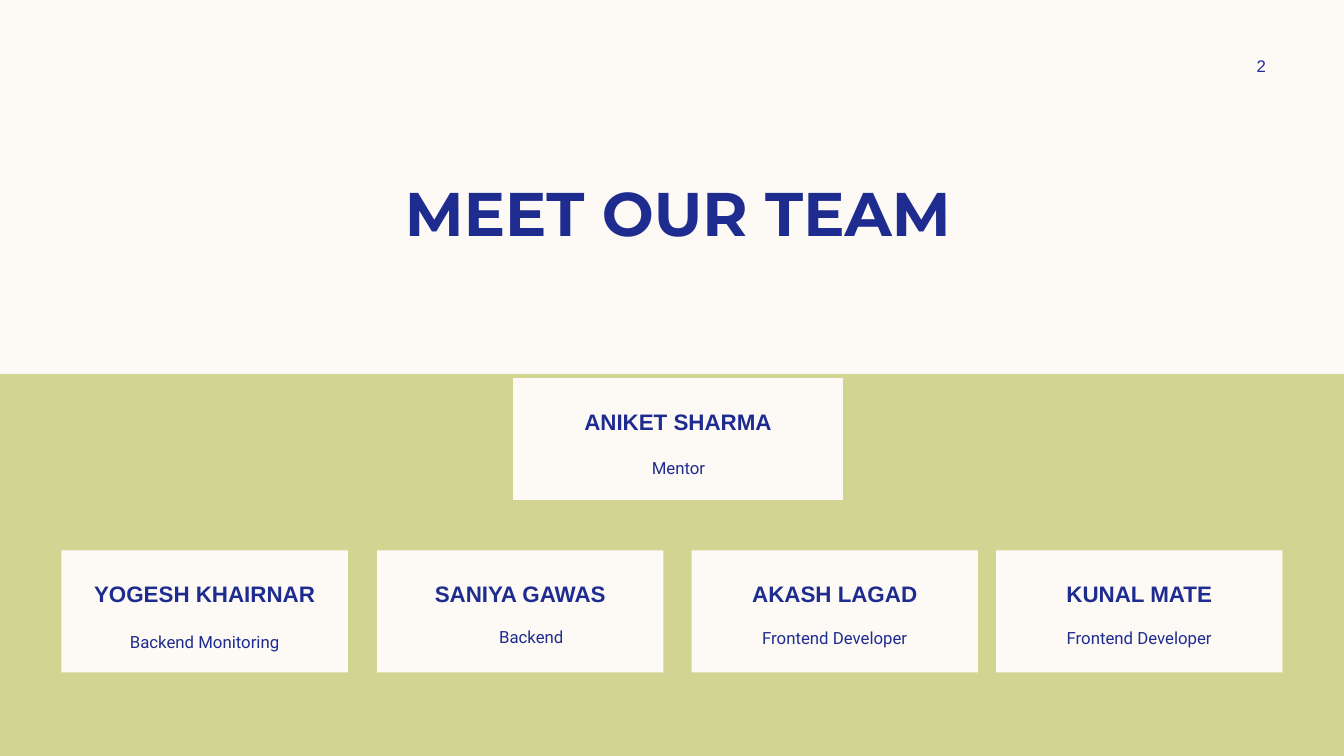
"""Build the team slide with a mentor card above four member cards."""
import pptx
import pptx.dml.color
import pptx.enum.shapes
import pptx.enum.text
import pptx.util

Inches = pptx.util.Inches
Pt = pptx.util.Pt
Anchor = pptx.enum.text.MSO_ANCHOR

CREAM = pptx.dml.color.RGBColor(0xFD, 0xFA, 0xF6)
GREEN = pptx.dml.color.RGBColor(0xD2, 0xD5, 0x92)
NAVY = pptx.dml.color.RGBColor(0x1F, 0x2C, 0x8F)

CARD_HEIGHT = 1.21
ROLE_WIDTH, ROLE_HEIGHT = 2.5, 0.4
MEMBER_TOP, MEMBER_WIDTH = 5.46, 2.84
MEMBERS = [
    ("YOGESH KHAIRNAR", "Backend Monitoring", 0.61, 0.78, 6.17),
    ("SANIYA GAWAS", "Backend", 3.74, 4.02, 6.12),
    ("AKASH LAGAD", "Frontend Developer", 6.86, 7.03, 6.13),
    ("KUNAL MATE", "Frontend Developer", 9.88, 10.05, 6.13),
]


class TeamPage:
    def __init__(self, deck):
        self.page = deck.slides.add_slide(deck.slide_layouts[5])
        self.page.background.fill.solid()
        self.page.background.fill.fore_color.rgb = CREAM

    def add_words(self, box, words, size, font, bold=False, anchor=Anchor.MIDDLE):
        frame = box.text_frame
        frame.word_wrap = True
        frame.auto_size = pptx.enum.text.MSO_AUTO_SIZE.NONE
        frame.vertical_anchor = anchor
        para = frame.paragraphs[0]
        para.alignment = pptx.enum.text.PP_ALIGN.CENTER
        span = para.add_run()
        span.text = words
        span.font.size = Pt(size)
        span.font.name = font
        span.font.bold = bold
        span.font.color.rgb = NAVY
        return para

    def title(self, words, left, top, width, height):
        box = self.page.shapes.title
        box.left, box.top = Inches(left), Inches(top)
        box.width, box.height = Inches(width), Inches(height)
        self.add_words(box, words, 44, "Montserrat", True, Anchor.TOP)

    def panel(self, left, top, width, height, color):
        box = self.page.shapes.add_shape(
            pptx.enum.shapes.MSO_SHAPE.RECTANGLE,
            Inches(left), Inches(top), Inches(width), Inches(height))
        box.shadow.inherit = False
        box.fill.solid()
        box.fill.fore_color.rgb = color
        box.line.fill.background()
        return box

    def label(self, words, left, top, width, height, font):
        box = self.page.shapes.add_textbox(
            Inches(left), Inches(top), Inches(width), Inches(height))
        return self.add_words(box, words, 12, font)

    def card(self, name, role, left, top, width, role_left, role_top):
        box = self.panel(left, top, width, CARD_HEIGHT, CREAM)
        frame = box.text_frame
        frame.margin_left = frame.margin_right = 0
        frame.margin_top, frame.margin_bottom = Inches(0.3), Inches(0.05)
        self.add_words(box, name, 16, "Arial", True, Anchor.TOP)
        para = self.label(role, role_left, role_top, ROLE_WIDTH, ROLE_HEIGHT, "Roboto")
        para.space_before = Pt(3.6)


def main():
    deck = pptx.Presentation()
    deck.slide_width, deck.slide_height = Inches(13.33), Inches(7.5)
    team = TeamPage(deck)
    team.panel(0, 3.71, 13.33, 3.79, GREEN)
    team.title("MEET OUR TEAM", 0.89, 1.69, 11.67, 0.84)
    team.label("2", 11.97, 0.5, 1.08, 0.3, "Arial")
    team.card("ANIKET SHARMA", "Mentor", 5.09, 3.75, 3.27, 5.48, 4.44)
    for name, role, left, role_left, role_top in MEMBERS:
        team.card(name, role, left, MEMBER_TOP, MEMBER_WIDTH, role_left, role_top)
    deck.save("out.pptx")


if __name__ == "__main__":
    main()
